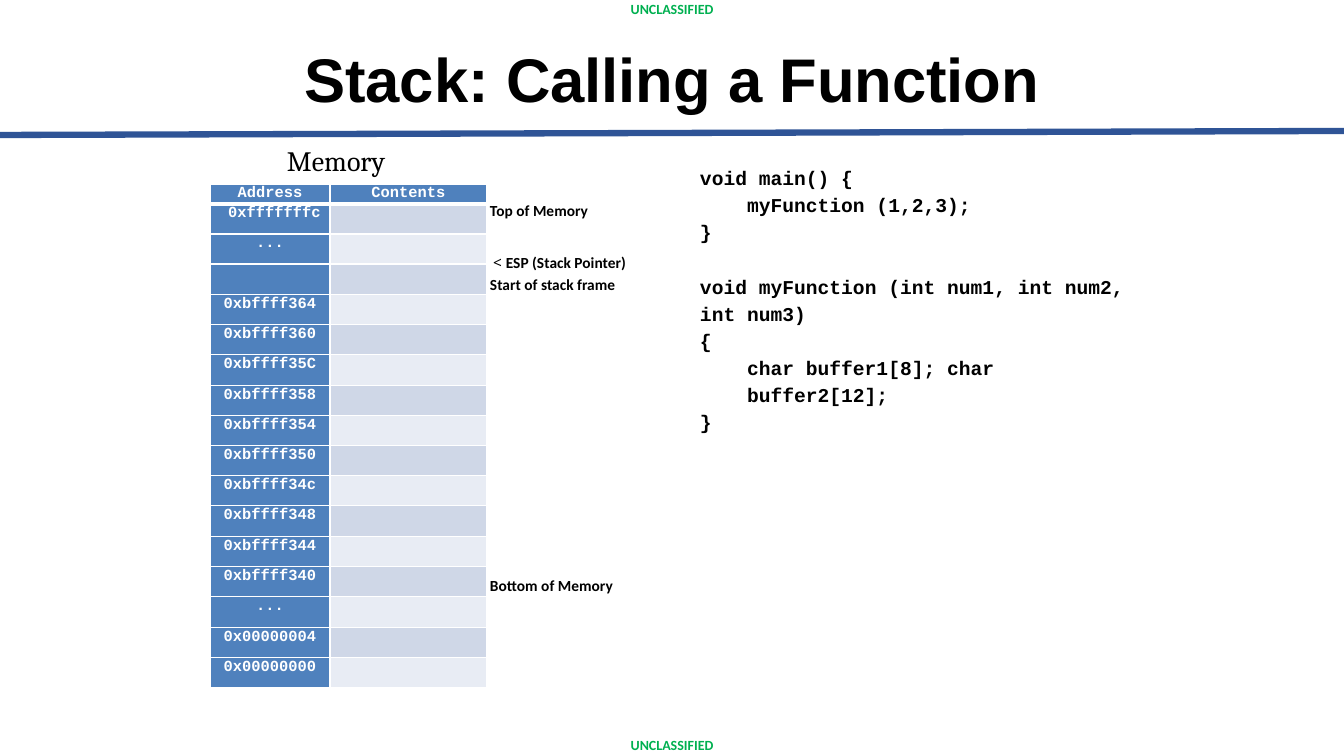
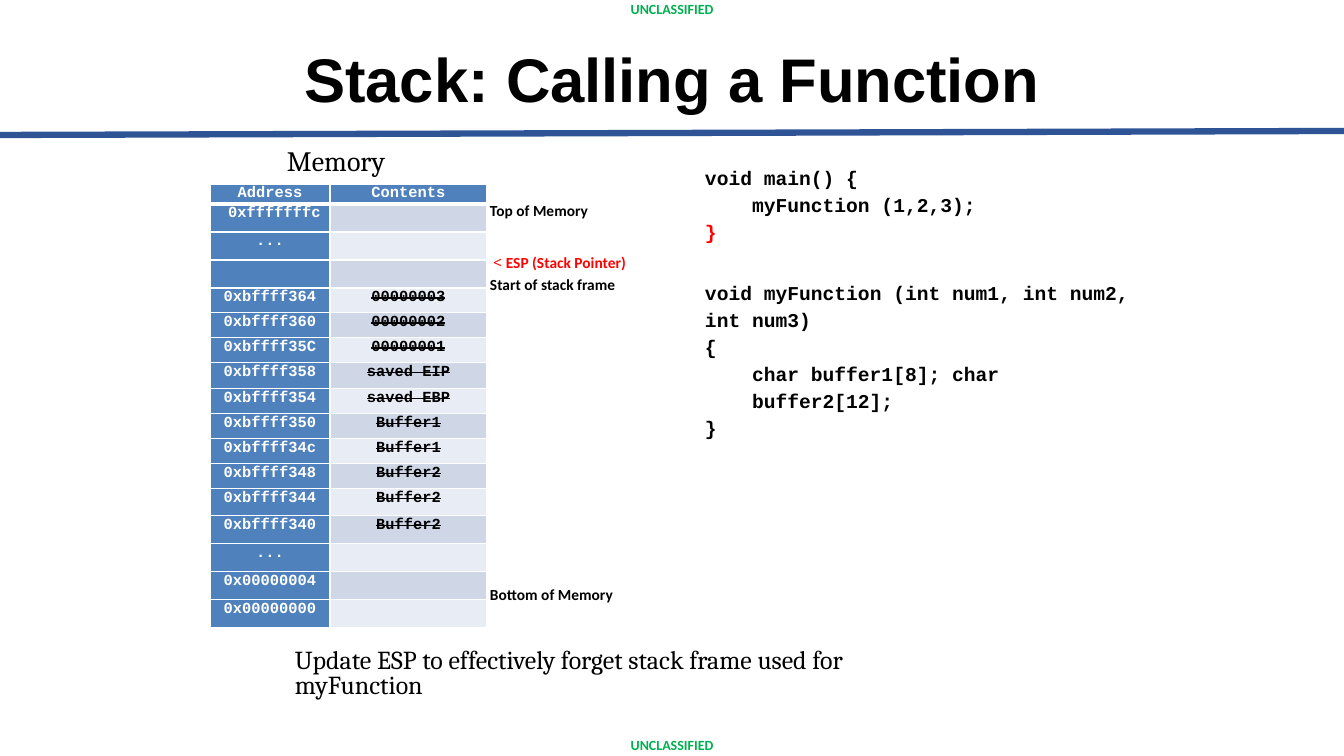
from dataclasses import dataclass

from lxml import etree
from pptx import Presentation
from pptx.dml.color import RGBColor
from pptx.enum.shapes import MSO_CONNECTOR as Connector
from pptx.enum.text import MSO_ANCHOR as Anchor, MSO_AUTO_SIZE as AutoSize, PP_ALIGN as Align
from pptx.oxml.ns import qn
from pptx.util import Emu, Pt

SLIDE_WIDTH, SLIDE_HEIGHT = 1344, 756
EMU_PER_PX = 12192000 / SLIDE_WIDTH


@dataclass(frozen=True)
class Theme:
    black: str = "000000"
    white: str = "FFFFFF"
    red: str = "FF0000"
    marking: str = "00B050"
    rule: str = "2F5496"
    head: str = "4F81BD"
    bands: tuple = ("CFD7E7", "E8ECF4")
    heading: str = "Arial"
    label: str = "Calibri"
    prose: str = "Cambria"
    code: str = "Courier New"
    symbol: str = "Noto Sans"
    title_size: float = 44
    memory_size: float = 20
    caption_size: float = 18.5
    code_size: float = 14
    small_size: float = 11
    marking_size: float = 10


THEME = Theme()


@dataclass(frozen=True)
class Line:
    """A paragraph; each run is a text with its own format changes."""
    runs: tuple
    indent: int = 0
    first: int = 0
    spacing: float = 1
    before: float = 0


@dataclass(frozen=True)
class StackState:
    """What differs between the steps of the call."""
    contents: tuple
    row_heights: tuple
    code_left: int
    function_top: int
    bottom_label_top: int
    accent: str
    caption: str = ""


ADDRESSES = ("0xfffffffc", "...", "", "0xbffff364", "0xbffff360", "0xbffff35C",
             "0xbffff358", "0xbffff354", "0xbffff350", "0xbffff34c", "0xbffff348",
             "0xbffff344", "0xbffff340", "...", "0x00000004", "0x00000000")
FRAME_CONTENTS = ("00000003", "00000002", "00000001", "saved EIP", "saved EBP",
                  "Buffer1", "Buffer1", "Buffer2", "Buffer2", "Buffer2")
ROW_COUNT = len(ADDRESSES)


def px(length):
    return Emu(round(length * EMU_PER_PX))


def spread(total, count):
    """Split a length into whole px that differ by one at most."""
    edges = [round(i * total / count) for i in range(count + 1)]
    return tuple(b - a for a, b in zip(edges, edges[1:]))


STATES = (
    StackState(("",) * ROW_COUNT, spread(484, ROW_COUNT), 699, 269, 575, THEME.black),
    StackState(("",) * 3 + FRAME_CONTENTS + ("",) * 3,
               (28,) * 3 + (25,) * 3 + (26,) + (25,) * 4 + (27,) + (28,) * 4,
               704, 275, 584, THEME.red,
               "Update ESP to effectively forget stack frame used for myFunction"),
)


# Text
def line(text, **layout):
    return Line(((text, {}),), **layout)


def format_run(run, size, font, color, bold=False, strike=False):
    run.font.size = Pt(size)
    run.font.name = font
    run.font.bold = bold
    run.font.color.rgb = RGBColor.from_string(color)
    if strike:
        run.font._element.set("strike", "sngStrike")


def write_text(frame, *lines, align=Align.LEFT, **style):
    for number, content in enumerate(lines):
        paragraph = frame.add_paragraph() if number else frame.paragraphs[0]
        paragraph.alignment = align
        paragraph.line_spacing = content.spacing
        paragraph.space_before = Pt(content.before)
        properties = paragraph._p.get_or_add_pPr()
        properties.set("marL", str(px(content.indent)))
        properties.set("indent", str(px(content.first)))
        for text, changes in content.runs:
            if text:
                run = paragraph.add_run()
                run.text = text
                format_run(run, **{**style, **changes})
            else:
                etree.SubElement(paragraph._p, qn("a:endParaRPr"),
                                 sz=str(round(style["size"] * 100)))


def add_text(slide, box, *lines, inset=(0, 1, 0, 0), anchor=Anchor.TOP, **style):
    frame = slide.shapes.add_textbox(*map(px, box)).text_frame
    frame.word_wrap = True
    frame.auto_size = AutoSize.SHAPE_TO_FIT_TEXT if anchor == Anchor.TOP else AutoSize.NONE
    frame.vertical_anchor = anchor
    (frame.margin_left, frame.margin_top,
     frame.margin_right, frame.margin_bottom) = map(px, inset)
    write_text(frame, *lines, **style)


def add_centered(slide, box, text, **style):
    add_text(slide, box, line(text, spacing=0.9), inset=(10, 5, 10, 5),
             anchor=Anchor.MIDDLE, align=Align.CENTER,
             color=style.pop("color", THEME.black), bold=True, **style)


def add_label(slide, box, content):
    add_text(slide, box, content, size=THEME.small_size, font=THEME.label,
             color=THEME.black, bold=True)


def add_code(slide, box, *lines, top_inset):
    add_text(slide, box, *lines, inset=(0, top_inset, 0, 0), size=THEME.code_size,
             font=THEME.code, color=THEME.black, bold=True)


def add_prose(slide, box, text, size, top_inset=1, spacing=1):
    add_text(slide, box, line(text, indent=1, spacing=spacing),
             inset=(0, top_inset, 0, 0), size=size, font=THEME.prose, color=THEME.black)


# Shared frame: markings, rule and title
def add_frame(slide):
    rule = slide.shapes.add_connector(Connector.STRAIGHT, px(0), px(135),
                                      px(SLIDE_WIDTH), px(131))
    rule.line.color.rgb = RGBColor.from_string(THEME.rule)
    rule.line.width = Pt(4.5)
    etree.SubElement(rule._element.spPr, qn("a:effectLst"))
    for top in (3, 739):
        add_centered(slide, (0, top, SLIDE_WIDTH, 13), "UNCLASSIFIED",
                     size=THEME.marking_size, font=THEME.label, color=THEME.marking)
    add_centered(slide, (93, 34, 1159, 98), "Stack: Calling a Function",
                 size=THEME.title_size, font=THEME.heading)


# Memory table
def set_borders(cell, **widths):
    properties = cell._tc.get_or_add_tcPr()
    for position, side in enumerate("LRTB"):
        border = etree.Element(qn(f"a:ln{side}"), w=str(Pt(widths.get(side, 1))))
        fill = etree.SubElement(border, qn("a:solidFill"))
        etree.SubElement(fill, qn("a:srgbClr"), val=THEME.white)
        properties.insert(position, border)


def fill_cell(cell, text, fill, color, indent=0, strike=False, **borders):
    cell.margin_left = cell.margin_top = cell.margin_right = cell.margin_bottom = 0
    cell.fill.solid()
    cell.fill.fore_color.rgb = RGBColor.from_string(fill)
    set_borders(cell, **borders)
    write_text(cell.text_frame, line(text, indent=indent, spacing=1.04),
               align=Align.CENTER, size=THEME.small_size, font=THEME.code,
               color=color, bold=True, strike=strike)


def add_memory_table(slide, state):
    heights = (20,) + state.row_heights
    widths = (120, 157)
    table = slide.shapes.add_table(len(heights), len(widths), px(210), px(184),
                                   px(sum(widths)), px(sum(heights))).table
    table.horz_banding = False
    for column, width in zip(table.columns, widths):
        column.width = px(width)
    for row, height in zip(table.rows, heights):
        row.height = px(height)
    for column, text in enumerate(("Address", "Contents")):
        fill_cell(table.cell(0, column), text, THEME.head, THEME.white, B=3)
    for number, (address, content) in enumerate(zip(ADDRESSES, state.contents)):
        top = 1 if number else 3
        fill_cell(table.cell(number + 1, 0), address, THEME.head, THEME.white,
                  indent=0 if number else 9, T=top)
        fill_cell(table.cell(number + 1, 1), content, THEME.bands[number % 2],
                  THEME.black, strike=True, T=top)


# Labels beside the table
def add_memory_labels(slide, state):
    add_prose(slide, (286, 143, 107, 35), "Memory", THEME.memory_size)
    add_label(slide, (489, 200, 101, 20), line("Top of Memory", indent=1))
    pointer = Line((("< ", {"font": THEME.symbol, "color": state.accent, "bold": False}),
                    ("ESP (Stack Pointer) ", {"color": state.accent}),
                    ("Start of stack frame", {})), indent=1, first=3, spacing=1.21)
    add_label(slide, (489, 248, 141, 42), pointer)
    add_label(slide, (489, state.bottom_label_top, 126, 20),
              line("Bottom of Memory", indent=1))


# Source code of caller and callee
def add_source_code(slide, state):
    add_code(slide, (state.code_left, 161, 273, 84),
             line("void main() {", indent=1),
             line("myFunction (1,2,3);", indent=48, before=2.5),
             Line((("}", {"color": state.accent}),), indent=1, before=2.5),
             top_inset=5)
    add_code(slide, (state.code_left, state.function_top, 426, 166),
             line("void myFunction (int num1, int num2, int num3)", indent=1, spacing=1.14),
             line("{", indent=1, before=2.1),
             line("char buffer1[8]; char buffer2[12];", indent=48, spacing=1.15),
             line("}", indent=1, before=2.5),
             top_inset=3)


def main():
    presentation = Presentation()
    presentation.slide_width = px(SLIDE_WIDTH)
    presentation.slide_height = px(SLIDE_HEIGHT)
    for state in STATES:
        slide = presentation.slides.add_slide(presentation.slide_layouts[6])
        add_frame(slide)
        add_memory_table(slide, state)
        add_memory_labels(slide, state)
        add_source_code(slide, state)
        if state.caption:
            add_prose(slide, (294, 642, 642, 57), state.caption, THEME.caption_size,
                      top_inset=8, spacing=0.79)
    presentation.save("out.pptx")


if __name__ == "__main__":
    main()
